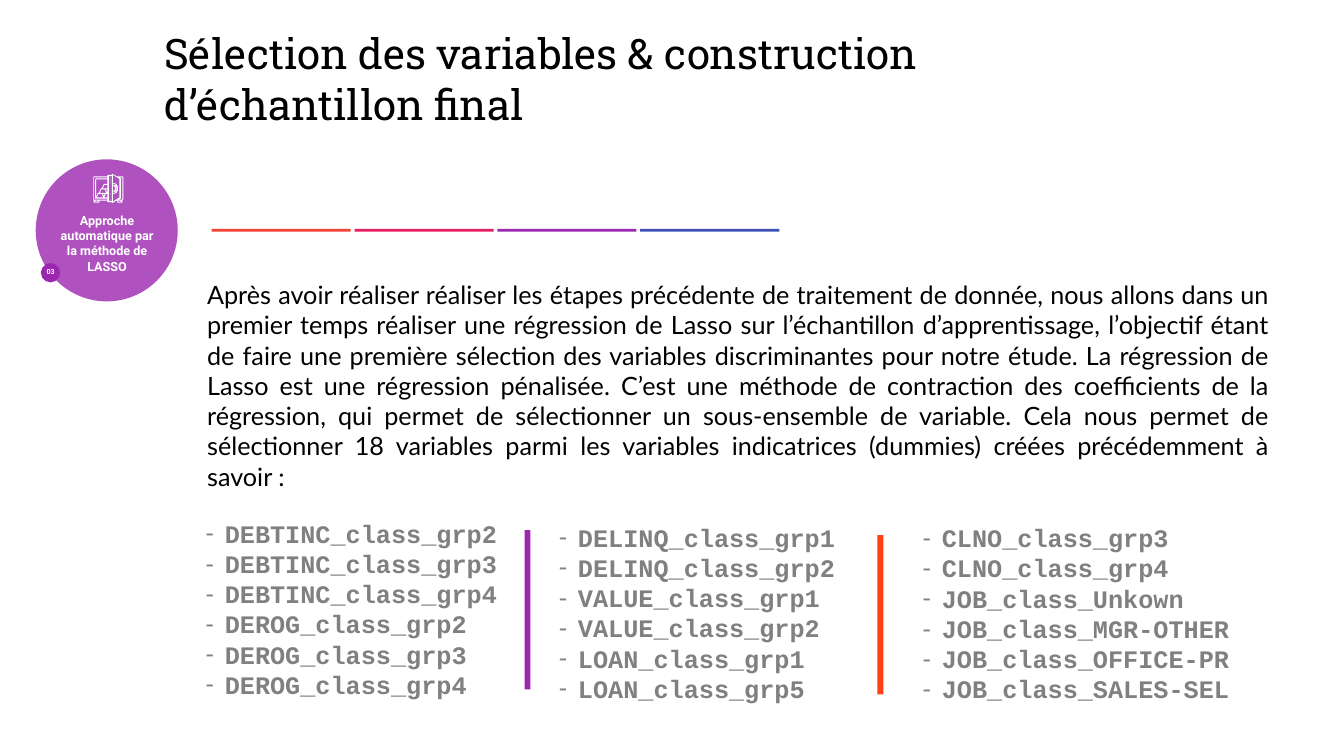
import pptx
import pptx.dml.color
import pptx.enum.shapes
import pptx.enum.text
import pptx.oxml.ns
import pptx.util
from dataclasses import dataclass
from lxml import etree

Cm = pptx.util.Cm
Pt = pptx.util.Pt
ALIGN = pptx.enum.text.PP_ALIGN
ANCHOR = pptx.enum.text.MSO_ANCHOR
SHAPE = pptx.enum.shapes.MSO_SHAPE
qn = pptx.oxml.ns.qn


@dataclass(frozen=True)
class Theme:
    black: str = "000000"
    white: str = "FFFFFF"
    grey: str = "808080"
    purple: str = "9B27AF"
    orange: str = "FF4015"
    stripes: tuple = ("F44235", "E81E62", "9B27AF", "3F50B5")
    title_font: str = "Roboto Slab"
    label_font: str = "Roboto"
    body_font: str = "Lato"
    code_font: str = "Courier New"
    title_size: int = 60
    body_size: int = 36
    label_size: int = 18
    badge_size: int = 10


THEME = Theme()

TITLE = "Sélection des variables & construction d’échantillon final"
APPROACH = "Approche automatique par la méthode de LASSO"
EXPLANATION = (
    "Après avoir réaliser réaliser les étapes précédente de traitement de donnée, "
    "nous allons dans un premier temps réaliser une régression de Lasso sur "
    "l’échantillon d’apprentissage, l’objectif étant de faire une première sélection "
    "des variables discriminantes pour notre étude. La régression de Lasso est une "
    "régression pénalisée. C’est une méthode de contraction des coefficients de la "
    "régression, qui permet de sélectionner un sous-ensemble de variable. Cela nous "
    "permet de sélectionner 18 variables parmi les variables indicatrices (dummies) "
    "créées précédemment à savoir :"
)
VARIABLE_COLUMNS = (
    (10.19, 26.19, ("DEBTINC_class_grp2", "DEBTINC_class_grp3", "DEBTINC_class_grp4",
                    "DEROG_class_grp2", "DEROG_class_grp3", "DEROG_class_grp4")),
    (27.99, 26.39, ("DELINQ_class_grp1", "DELINQ_class_grp2", "VALUE_class_grp1",
                    "VALUE_class_grp2", "LOAN_class_grp1", "LOAN_class_grp5")),
    (46.33, 26.42, ("CLNO_class_grp3", "CLNO_class_grp4", "JOB_class_Unkown",
                    "JOB_class_MGR-OTHER", "JOB_class_OFFICE-PR", "JOB_class_SALES-SEL")),
)

SAFE_BODY = [(58, 5), (47, 5), (38, 0), (37, 0), (37, 2), (28, 2), (28, 5), (1, 5),
             (0, 7), (0, 51), (1, 53), (1, 57), (12, 57), (12, 53), (28, 53), (28, 56),
             (37, 56), (37, 58), (38, 58), (46, 53), (48, 53), (48, 57), (58, 57),
             (58, 53), (60, 51), (60, 7)]
SAFE_FEET = [[(x, 53), (x + 6, 53), (x + 6, 55), (x, 55)] for x in (4, 49)]
SAFE_FRAME = [
    [(12, 51), (1, 51), (1, 7), (28, 7), (28, 9), (6, 9), (4, 11), (4, 49), (28, 49), (28, 51)],
    [(58, 51), (50, 51), (55, 49), (55, 9), (51, 7), (58, 7)],
]
SAFE_INSIDE = [(28, 20), (21, 20), (17, 29), (15, 29), (11, 38), (9, 38), (6, 46),
               (6, 11), (28, 11)]
SAFE_INGOTS = [
    [(10, 40), (17, 40), (20, 47), (7, 47)],
    [(16, 31), (23, 31), (26, 38), (13, 38)],
    [(23, 40), (21, 44), (19, 40)],
    [(22, 47), (25, 40), (28, 40), (28, 47)],
    [(28, 38), (25, 31), (28, 31)],
    [(28, 29), (19, 29), (22, 22), (28, 22)],
]
SAFE_DOOR = [
    [(31, 54), (31, 4), (37, 4), (37, 54)],
    [(39, 2), (52, 10), (52, 47), (39, 55)],
]
SAFE_BOLTS = [[(33, y), (34, y), (34, y + 2), (33, y + 2)] for y in (5, 11, 17, 39, 45, 51)]
SAFE_HANDLE = [
    [(40, 34), (40, 36), (44, 35), (45, 32), (45, 26), (44, 23), (40, 22), (40, 24),
     (43, 26), (43, 32)],
    [(40, 18), (40, 20), (44, 21), (46, 26), (46, 32), (44, 37), (40, 38), (40, 40),
     (46, 38), (49, 32), (49, 26), (46, 20)],
]
SAFE = [SAFE_BODY, *SAFE_FEET, *SAFE_FRAME, SAFE_INSIDE, *SAFE_INGOTS, *SAFE_DOOR,
        *SAFE_BOLTS, *SAFE_HANDLE]


def rgb(color):
    return pptx.dml.color.RGBColor.from_string(color)


def paint(shape, color, opacity=None):
    shape.shadow.inherit = False
    shape.fill.solid()
    shape.fill.fore_color.rgb = rgb(color)
    shape.line.fill.background()
    if opacity is not None:
        swatch = shape.fill._xPr.find(".//" + qn("a:srgbClr"))
        etree.SubElement(swatch, qn("a:alpha")).set("val", str(opacity * 1000))


def add_block(slide, kind, left, top, width, height, color, opacity=None):
    block = slide.shapes.add_shape(kind, Cm(left), Cm(top), Cm(width), Cm(height))
    paint(block, color, opacity)


def set_frame(frame, inset, anchor):
    frame.word_wrap = True
    frame.auto_size = pptx.enum.text.MSO_AUTO_SIZE.NONE
    frame.vertical_anchor = anchor
    frame.margin_left = frame.margin_right = Cm(inset)
    frame.margin_top = frame.margin_bottom = Cm(inset)


def style(paragraph, font, size, color, align, bold=False, spacing=None):
    paragraph.alignment = align
    paragraph.line_spacing = spacing
    for run in paragraph.runs:
        run.font.name = font
        run.font.size = Pt(size)
        run.font.bold = bold
        run.font.color.rgb = rgb(color)


def add_text(slide, left, top, width, height, text, inset):
    box = slide.shapes.add_textbox(Cm(left), Cm(top), Cm(width), Cm(height))
    box.text_frame.text = text
    set_frame(box.text_frame, inset, ANCHOR.MIDDLE)
    return box.text_frame.paragraphs


def add_dash(paragraph):
    properties = paragraph._p.get_or_add_pPr()
    properties.set("marL", str(Cm(0.99)))
    properties.set("indent", str(-Cm(0.99)))
    etree.SubElement(properties, qn("a:buFont")).set("typeface", THEME.body_font)
    etree.SubElement(properties, qn("a:buChar")).set("char", "-")


def add_title(slide):
    title = slide.shapes.title
    title.left, title.top, title.width, title.height = Cm(8.15), Cm(1.27), Cm(39.7), Cm(4.9)
    title.text_frame.text = TITLE
    set_frame(title.text_frame, 0.13, ANCHOR.TOP)
    style(title.text_frame.paragraphs[0], THEME.title_font, THEME.title_size, THEME.black,
          ALIGN.LEFT, spacing=Pt(72))


def add_safe_icon(slide, left, top):
    builder = slide.shapes.build_freeform(*SAFE[0][0], scale=Cm(2.54) / 100)
    for outline in SAFE:
        builder.move_to(*outline[0])
        builder.add_line_segments(outline[1:], close=True)
    paint(builder.convert_to_shape(Cm(left), Cm(top)), THEME.white)


def add_approach(slide):
    add_block(slide, SHAPE.OVAL, 1.8, 8.03, 7.16, 7.16, THEME.purple, opacity=80)
    label = add_text(slide, 2.67, 10.59, 5.46, 3.35, APPROACH, 0.13)[0]
    style(label, THEME.label_font, THEME.label_size, THEME.white, ALIGN.CENTER, bold=True)
    add_block(slide, SHAPE.OVAL, 2.06, 13.26, 0.97, 0.97, THEME.purple)
    number = add_text(slide, 2.21, 13.51, 0.69, 0.43, "03", 0)[0]
    style(number, THEME.label_font, THEME.badge_size, THEME.white, ALIGN.CENTER,
          bold=True, spacing=0.8)
    add_safe_icon(slide, 4.7, 8.76)


def add_variables(slide, left, top, names):
    for variable in add_text(slide, left, top, 16.18, 8.97, "\n".join(names), 0.15):
        add_dash(variable)
        style(variable, THEME.code_font, THEME.body_size, THEME.grey, ALIGN.JUSTIFY,
              bold=True, spacing=Pt(43.2))


def main():
    deck = pptx.Presentation()
    deck.slide_width, deck.slide_height = Cm(67.74), Cm(38.1)
    slide = deck.slides.add_slide(deck.slide_layouts[5])
    add_title(slide)
    add_approach(slide)
    for index, color in enumerate(THEME.stripes):
        add_block(slide, SHAPE.RECTANGLE, 10.67 + 7.2 * index, 11.53, 7.01, 0.15, color)
    explanation = add_text(slide, 10.29, 14.1, 53.82, 10.64, EXPLANATION, 0.15)[0]
    style(explanation, THEME.body_font, THEME.body_size, THEME.black, ALIGN.JUSTIFY)
    for left, top, names in VARIABLE_COLUMNS:
        add_variables(slide, left, top, names)
    for left, top, color in ((26.44, 26.72, THEME.purple), (44.22, 26.97, THEME.orange)):
        add_block(slide, SHAPE.RECTANGLE, left, top, 0.3, 8.03, color)
    deck.save("out.pptx")


if __name__ == "__main__":
    main()
